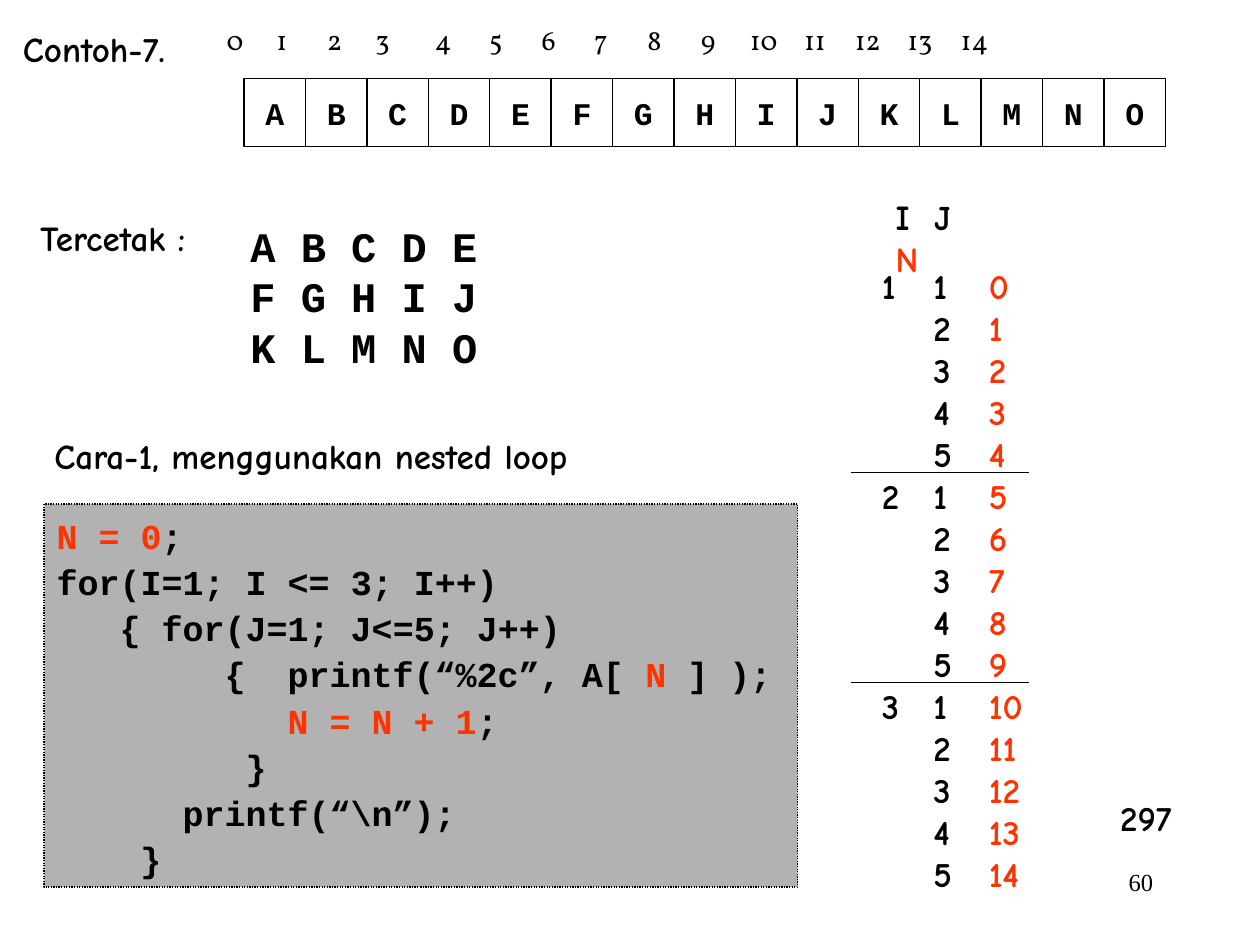
from lxml import etree
from pptx import Presentation
from pptx import util as u
from pptx.dml.color import RGBColor
from pptx.enum import dml, shapes, text
from pptx.oxml import ns

BLACK = RGBColor(0x00, 0x00, 0x00)
RED = RGBColor(0xFF, 0x33, 0x00)
GREY = RGBColor(0xB2, 0xB2, 0xB2)
COMIC, COURIER, VOLLKORN, TIMES = "Comic Neue", "Courier New", "Vollkorn", "Times New Roman"
LETTERS = "ABCDEFGHIJKLMNO"
GROUP = 5
LINE_HEIGHT = 24
INDEX_STOPS = (28.5, 57.5, 85, 119, 150, 180, 210, 240.5, 271, 299, 330, 359, 389, 419.5)
CODE = [
    (("", "N = 0", ";"), ()),
    (("for(I=1; I <= 3; I++)",), ()),
    (("\t{ for(J=1; J<=5; J++)",), (36,)),
    (("\t{\tprintf(“%2c”, A[ ", "N", " ] );"), (96, 132)),
    (("\t", "N = N + 1", ";"), (132,)),
    (("\t}",), (108,)),
    (("\tprintf(“\\n”);",), (72,)),
    (("\t}",), (48,)),
]


class LessonSlide:
    """Draws text, boxes and rules on one slide in a shared style; lengths are in points."""

    def __init__(self, slide):
        self.slide = slide

    def paragraph(self, frame, fragments, font=COMIC, size=20, bold=True, color=BLACK,
                  stops=(), align=text.PP_ALIGN.LEFT, spacing=None, before=None):
        first = not frame.paragraphs[0].runs
        paragraph = frame.paragraphs[0] if first else frame.add_paragraph()
        paragraph.alignment = align
        if stops:
            properties = paragraph._p.get_or_add_pPr()
            tab_list = etree.SubElement(properties, ns.qn("a:tabLst"))
            for stop in stops:
                etree.SubElement(tab_list, ns.qn("a:tab"), pos=str(int(u.Pt(stop))), algn="l")
        paragraph.line_spacing = spacing
        if before and not first:
            paragraph.space_before = u.Pt(before)
        paragraph.font.name = font
        paragraph.font.size = u.Pt(size)
        paragraph.font.bold = bold
        paragraph.font.color.rgb = color
        for position, fragment in enumerate(fragments):
            if fragment:
                run = paragraph.add_run()
                run.text = fragment
                if position % 2:
                    run.font.color.rgb = RED

    def text_box(self, left, top, width, height, lines, wrap=False, grow=True, **style):
        shape = self.slide.shapes.add_textbox(*map(u.Pt, (left, top, width, height)))
        frame = shape.text_frame
        frame.word_wrap = wrap
        if grow:
            frame.auto_size = text.MSO_AUTO_SIZE.SHAPE_TO_FIT_TEXT
        for line in lines:
            self.paragraph(frame, (line,) if isinstance(line, str) else line, **style)

    def box(self, left, top, width, height, fill=None, dash=None,
            anchor=text.MSO_ANCHOR.MIDDLE, wrap=False):
        shape = self.slide.shapes.add_shape(
            shapes.MSO_SHAPE.RECTANGLE, *map(u.Pt, (left, top, width, height)))
        shape.shadow.inherit = False
        if fill is None:
            shape.fill.background()
        else:
            shape.fill.solid()
            shape.fill.fore_color.rgb = fill
        shape.line.color.rgb = BLACK
        shape.line.width = u.Pt(0.75)
        if dash:
            shape.line.dash_style = dash
        shape.text_frame.vertical_anchor = anchor
        shape.text_frame.word_wrap = wrap
        return shape.text_frame

    def rule(self, left, right, y):
        line = self.slide.shapes.add_connector(
            shapes.MSO_CONNECTOR.STRAIGHT, *map(u.Pt, (left, y, right, y)))
        line.line.color.rgb = BLACK
        line.line.width = u.Pt(0.75)
        etree.SubElement(line._element.spPr, ns.qn("a:effectLst"))


def main():
    presentation = Presentation()
    presentation.slide_width, presentation.slide_height = u.Pt(720), u.Pt(540)
    lesson = LessonSlide(presentation.slides.add_slide(presentation.slide_layouts[6]))

    rows = [" ".join(LETTERS[start:start + GROUP]) for start in range(0, len(LETTERS), GROUP)]
    lesson.text_box(136, 122.4, 144, 93.6, rows, font=COURIER, size=24)

    numbers = [str(number) for number in range(len(LETTERS))]
    lesson.text_box(122.4, 9.4, 558, 26.6, ["\t".join(numbers)], wrap=True,
                    font=VOLLKORN, size=16, bold=False, stops=INDEX_STOPS)
    for column, letter in enumerate(LETTERS):
        cell = lesson.box(139.5 + 35.1 * column, 45, 35.1, 38.9)
        lesson.paragraph(cell, (letter,), font=COURIER, size=18, align=text.PP_ALIGN.CENTER)

    lesson.text_box(6, 12, 126, 31.5, ["Contoh-7."], wrap=True)
    lesson.text_box(633, 451.5, 44, 31.5, ["297"])
    lesson.text_box(16, 120, 99.4, 31.5, ["Tercetak :"])

    code = lesson.box(25.2, 288, 430.6, 218.9, fill=GREY, dash=dml.MSO_LINE.ROUND_DOT,
                      anchor=text.MSO_ANCHOR.TOP, wrap=True)
    for fragments, stops in CODE:
        lesson.paragraph(code, fragments, font=COURIER, stops=stops, spacing=1.1)
    lesson.text_box(24, 245, 378, 31.5, ["Cara-1, menggunakan nested loop"], wrap=True)

    lesson.text_box(504.7, 108, 73.4, 31.5, [("I\tJ\t", "N")], stops=(22, 47))
    lesson.text_box(496.8, 147.6, 24.5, 271.4, ["1", "2", "3"],
                    before=LINE_HEIGHT * (GROUP - 1))
    inner = [str(number % GROUP + 1) for number in range(len(LETTERS))]
    lesson.text_box(526.3, 147.6, 25.2, 367.2, inner)
    lesson.text_box(558, 147.6, 33.8, 367.2, numbers, color=RED)
    for y in (270, 390):
        lesson.rule(486, 588, y)

    lesson.text_box(516.2, 491.8, 149.8, 36, ["60"], wrap=True, grow=False,
                    font=TIMES, size=14, bold=False, align=text.PP_ALIGN.RIGHT)
    presentation.save("out.pptx")


if __name__ == "__main__":
    main()
